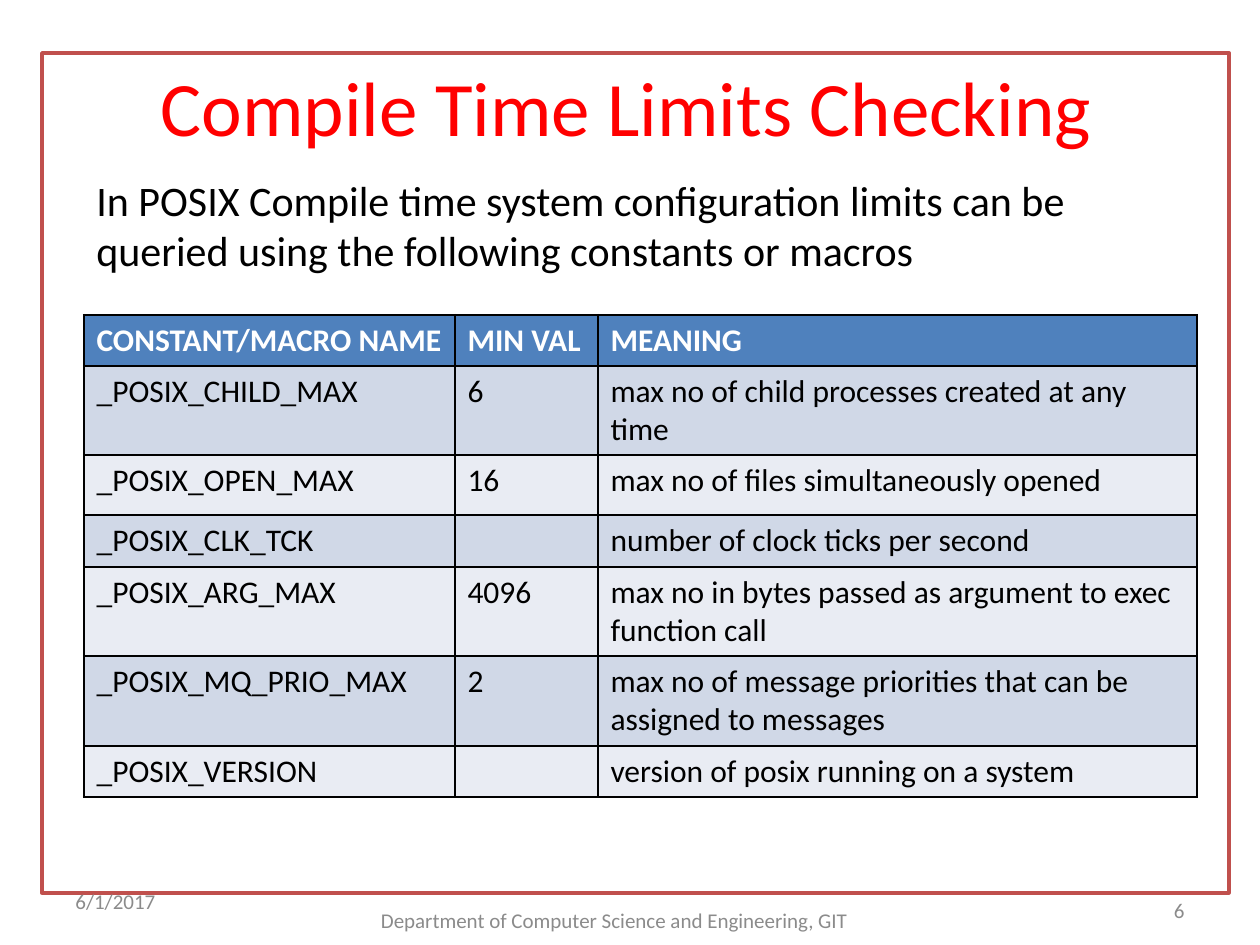
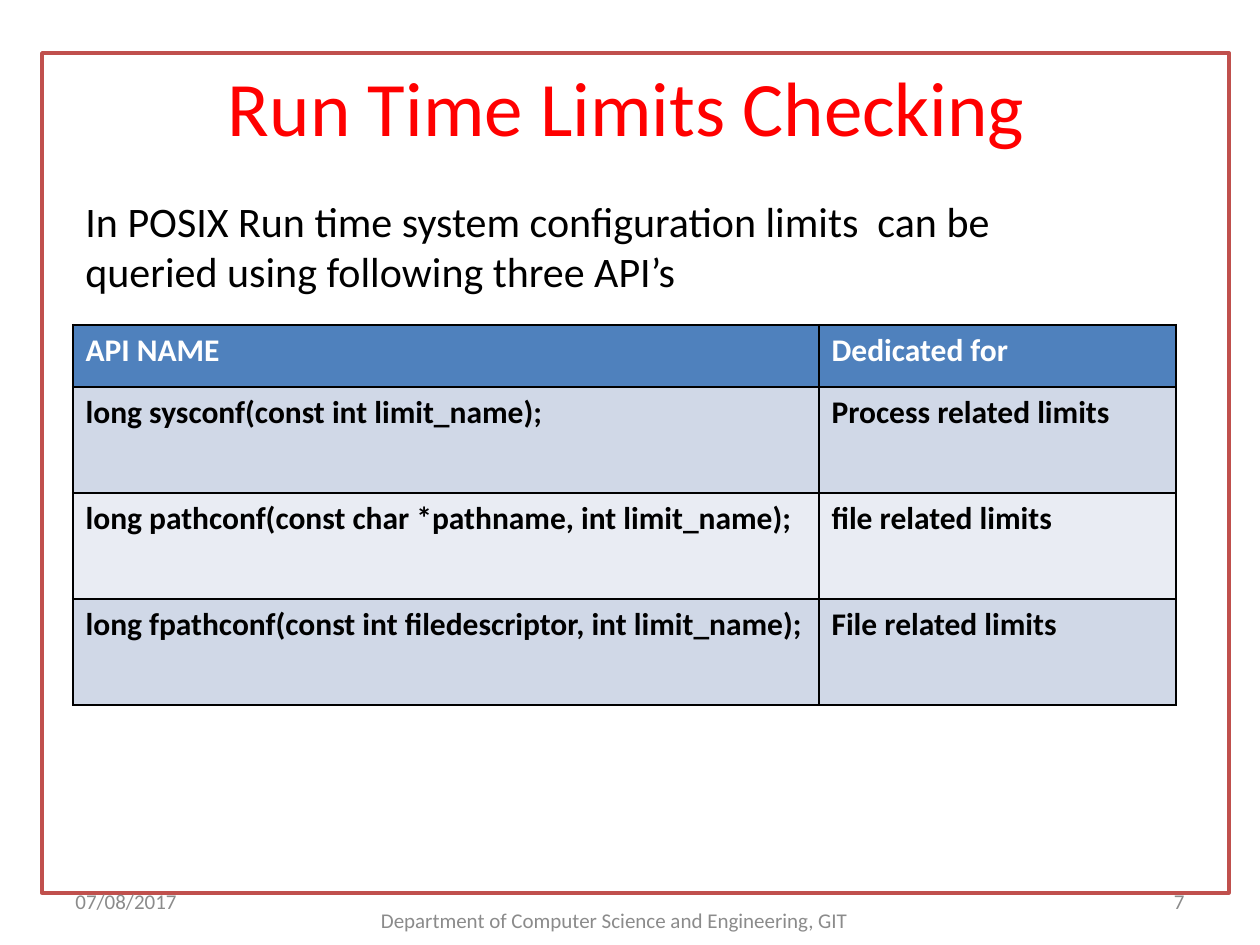
import pptx
import pptx.util
import pptx.dml.color
import pptx.enum.text
import lxml.etree

# Shared scale, colours and styles
PIXEL = 914400 // 126
RGB = pptx.dml.color.RGBColor
RED = RGB(0xFF, 0x00, 0x00)
FRAME_RED = RGB(0xC0, 0x50, 0x4D)
WHITE = RGB(0xFF, 0xFF, 0xFF)
BLACK = RGB(0x00, 0x00, 0x00)
GREY = RGB(0x8B, 0x8B, 0x8B)
HEADER_BLUE = RGB(0x4F, 0x81, 0xBD)
BANDS = [RGB(0xE9, 0xEC, 0xF3), RGB(0xD0, 0xD8, 0xE7)]
BORDER_WIDTH = pptx.util.Pt(1.47)
ALIGN = pptx.enum.text.PP_ALIGN
ANCHOR = pptx.enum.text.MSO_ANCHOR

FRAME = (42, 53, 1187, 840)
FOOTER = (336, 895, 557, 50)
DEPARTMENT = "Department of Computer Science and Engineering, GIT"

limits_slide = {
    "title": "Compile Time Limits Checking ",
    "date": "6/1/2017",
    "number": "6",
    "number_top": 885,
    "intro": "In POSIX Compile time system configuration limits can be "
             "queried using the following constants or macros",
    "intro_box": (84, 168, 1081, 113),
    "table_at": (84, 315),
    "columns": [371, 143, 599],
    "rows": [51, 89, 60, 52, 89, 90, 51],
    "bold_body": False,
    "cells": [
        ("CONSTANT/MACRO NAME ", "MIN VAL", "MEANING "),
        ("_POSIX_CHILD_MAX", "6", "max no of child processes created at any time"),
        ("_POSIX_OPEN_MAX", "16", "max no of files simultaneously opened "),
        ("_POSIX_CLK_TCK", "", "number of clock ticks per second"),
        ("_POSIX_ARG_MAX", "4096",
         "max no in bytes passed as argument to exec function call"),
        ("_POSIX_MQ_PRIO_MAX", "2",
         "max no of message priorities that can be assigned to messages"),
        ("_POSIX_VERSION", "", "version of posix running on a system"),
    ],
}
api_slide = {
    "title": "Run Time Limits Checking ",
    "date": "07/08/2017",
    "number": "7",
    "number_top": 876,
    "intro": "In POSIX Run time system configuration limits  can be "
             "queried using following three API’s",
    "intro_box": (73, 189, 1040, 113),
    "table_at": (73, 325),
    "columns": [746, 357],
    "rows": [62, 106, 106, 106],
    "bold_body": True,
    "cells": [
        ("API NAME", "Dedicated for "),
        ("long sysconf(const int limit_name);", "Process related limits"),
        ("long pathconf(const char *pathname, int limit_name);",
         "file related limits"),
        ("long fpathconf(const int filedescriptor, int limit_name);",
         "File related limits"),
    ],
}


def write(frame, text, size, color, bold=False, align=ALIGN.LEFT, anchor=ANCHOR.TOP):
    frame.text = text
    frame.word_wrap = True
    frame.vertical_anchor = anchor
    paragraph = frame.paragraphs[0]
    paragraph.alignment = align
    formats = {"name": "Calibri", "size": pptx.util.Pt(size), "bold": bold}
    for font in [paragraph.font] + [run.font for run in paragraph.runs]:
        for attribute, value in formats.items():
            setattr(font, attribute, value)
        font.color.rgb = color


def draw_borders(cell):
    properties = cell._tc.get_or_add_tcPr()
    for position, side in enumerate(("lnL", "lnR", "lnT", "lnB")):
        border = lxml.etree.fromstring(
            f'<a:{side} xmlns:a="http://schemas.openxmlformats.org/drawingml/2006/main" '
            f'w="{BORDER_WIDTH}"><a:solidFill><a:srgbClr val="{BLACK}"/></a:solidFill></a:{side}>')
        properties.insert(position, border)


deck = pptx.Presentation()
deck.slide_width = 1260 * PIXEL
deck.slide_height = 945 * PIXEL

for content in (limits_slide, api_slide):
    slide = deck.slides.add_slide(deck.slide_layouts[5])

    # Framed title
    title = slide.shapes.title
    for side, value in zip(("left", "top", "width", "height"), FRAME):
        setattr(title, side, value * PIXEL)
    title.fill.solid()
    title.fill.fore_color.rgb = WHITE
    title.line.color.rgb = FRAME_RED
    title.line.width = pptx.util.Pt(2)
    title.text_frame.auto_size = pptx.enum.text.MSO_AUTO_SIZE.NONE
    write(title.text_frame, content["title"], 44, RED, align=ALIGN.CENTER)

    # Footer line: department, date and slide number
    for text, box, align in (
        (DEPARTMENT, FOOTER, ALIGN.CENTER),
        (content["date"], (63, 876, 294, 50), ALIGN.LEFT),
        (content["number"], (903, content["number_top"], 294, 50), ALIGN.RIGHT),
    ):
        footer = slide.shapes.add_textbox(*(value * PIXEL for value in box))
        write(footer.text_frame, text, 12, GREY, align=align, anchor=ANCHOR.MIDDLE)

    # Table with a header row and banded body
    columns, rows = content["columns"], content["rows"]
    box = (*content["table_at"], sum(columns), sum(rows))
    table = slide.shapes.add_table(
        len(rows), len(columns), *(value * PIXEL for value in box)).table
    for column, width in zip(table.columns, columns):
        column.width = width * PIXEL
    for row_index, texts in enumerate(content["cells"]):
        table.rows[row_index].height = rows[row_index] * PIXEL
        is_header = row_index == 0
        for column_index, text in enumerate(texts):
            cell = table.cell(row_index, column_index)
            cell.fill.solid()
            cell.fill.fore_color.rgb = HEADER_BLUE if is_header else BANDS[row_index % 2]
            write(cell.text_frame, text, 18, WHITE if is_header else BLACK,
                  bold=is_header or content["bold_body"])
            draw_borders(cell)

    # Introduction above the table
    intro = slide.shapes.add_textbox(*(value * PIXEL for value in content["intro_box"]))
    write(intro.text_frame, content["intro"], 24, BLACK)

deck.save("out.pptx")
